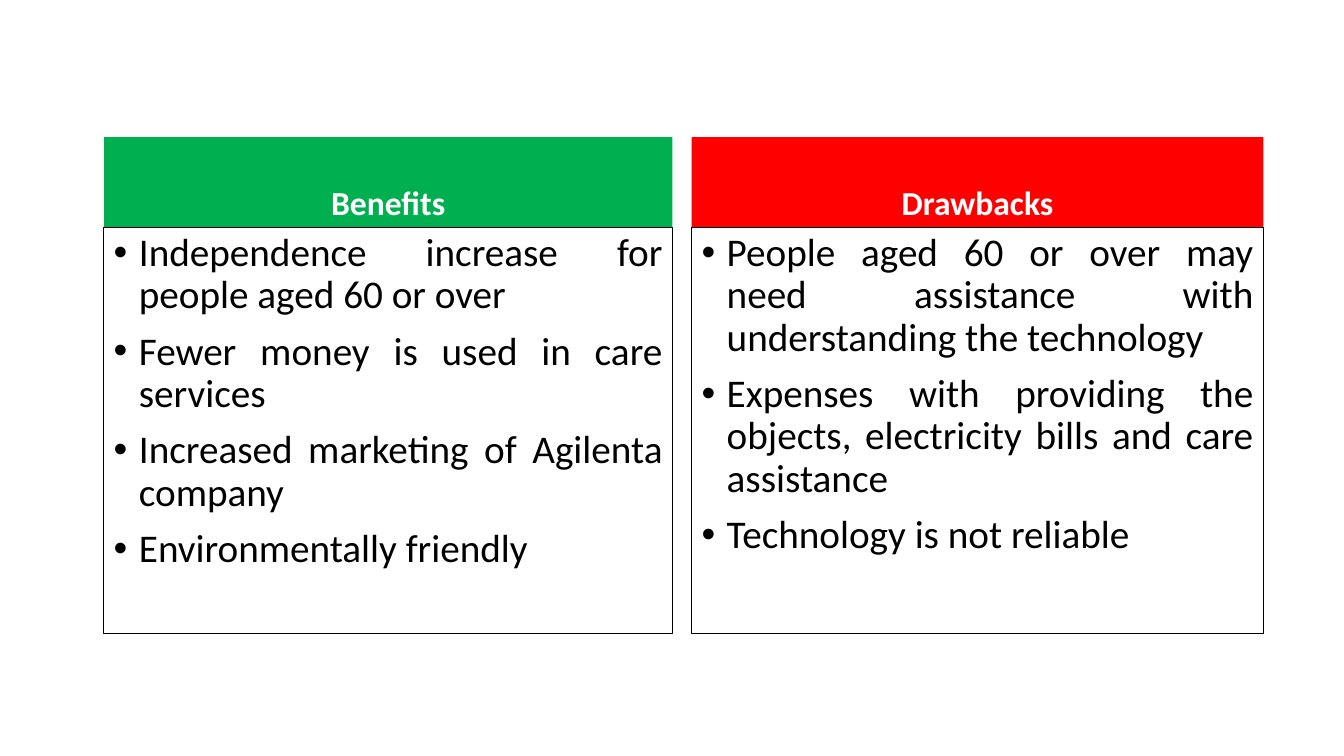
from lxml import etree
from pptx import Presentation
from pptx.dml.color import RGBColor
from pptx.enum import shapes, text
from pptx.oxml.ns import qn
from pptx.util import Inches, Pt

HEADER_TOP, HEADER_HEIGHT, LIST_HEIGHT = 1.36, 0.9, 4.03

COLUMNS = [
    (1.03, 5.64, "00B050", "Benefits", [
        "Independence increase for people aged 60 or over",
        "Fewer money is used in care services",
        "Increased marketing of Agilenta company",
        "Environmentally friendly",
    ]),
    (6.86, 5.67, "FF0000", "Drawbacks", [
        "People aged 60 or over may need assistance with understanding the technology",
        "Expenses with providing the objects, electricity bills and care assistance",
        "Technology is not reliable",
    ]),
]


def color(value):
    return RGBColor.from_string(value)


def add_box(page, left, top, width, height, anchor):
    box = page.shapes.add_shape(
        shapes.MSO_SHAPE.RECTANGLE,
        Inches(left), Inches(top), Inches(width), Inches(height))
    box.shadow.inherit = False
    box.text_frame.word_wrap = True
    box.text_frame.vertical_anchor = anchor
    return box


def format_paragraph(para, alignment, size, hex_color, bold=False):
    para.alignment = alignment
    para.line_spacing = 0.9
    for span in para.runs:
        span.font.name = "Calibri"
        span.font.size = Pt(size)
        span.font.bold = bold
        span.font.color.rgb = color(hex_color)


def add_bullet(para):
    properties = para._p.get_or_add_pPr()
    properties.set("marL", str(Inches(0.25)))
    properties.set("indent", str(Inches(-0.25)))
    etree.SubElement(properties, qn("a:buFont")).set("typeface", "Arial")
    etree.SubElement(properties, qn("a:buChar")).set("char", "•")


def add_header(page, left, width, fill, title):
    box = add_box(page, left, HEADER_TOP, width, HEADER_HEIGHT, text.MSO_ANCHOR.BOTTOM)
    box.fill.solid()
    box.fill.fore_color.rgb = color(fill)
    box.line.fill.background()
    box.text_frame.text = title
    format_paragraph(box.text_frame.paragraphs[0], text.PP_ALIGN.CENTER, 24, "FFFFFF", True)


def add_list(page, left, width, items):
    box = add_box(page, left, HEADER_TOP + HEADER_HEIGHT, width, LIST_HEIGHT,
                  text.MSO_ANCHOR.TOP)
    box.fill.background()
    box.line.color.rgb = color("000000")
    box.line.width = Pt(0.75)
    box.text_frame.text = "\n".join(items)
    for index, para in enumerate(box.text_frame.paragraphs):
        add_bullet(para)
        format_paragraph(para, text.PP_ALIGN.JUSTIFY, 28, "000000")
        if index:
            para.space_before = Pt(10)


def main():
    deck = Presentation()
    deck.slide_width, deck.slide_height = Inches(13.33), Inches(7.5)
    page = deck.slides.add_slide(deck.slide_layouts[6])
    for left, width, fill, title, items in COLUMNS:
        add_header(page, left, width, fill, title)
        add_list(page, left, width, items)
    deck.save("out.pptx")


if __name__ == "__main__":
    main()
